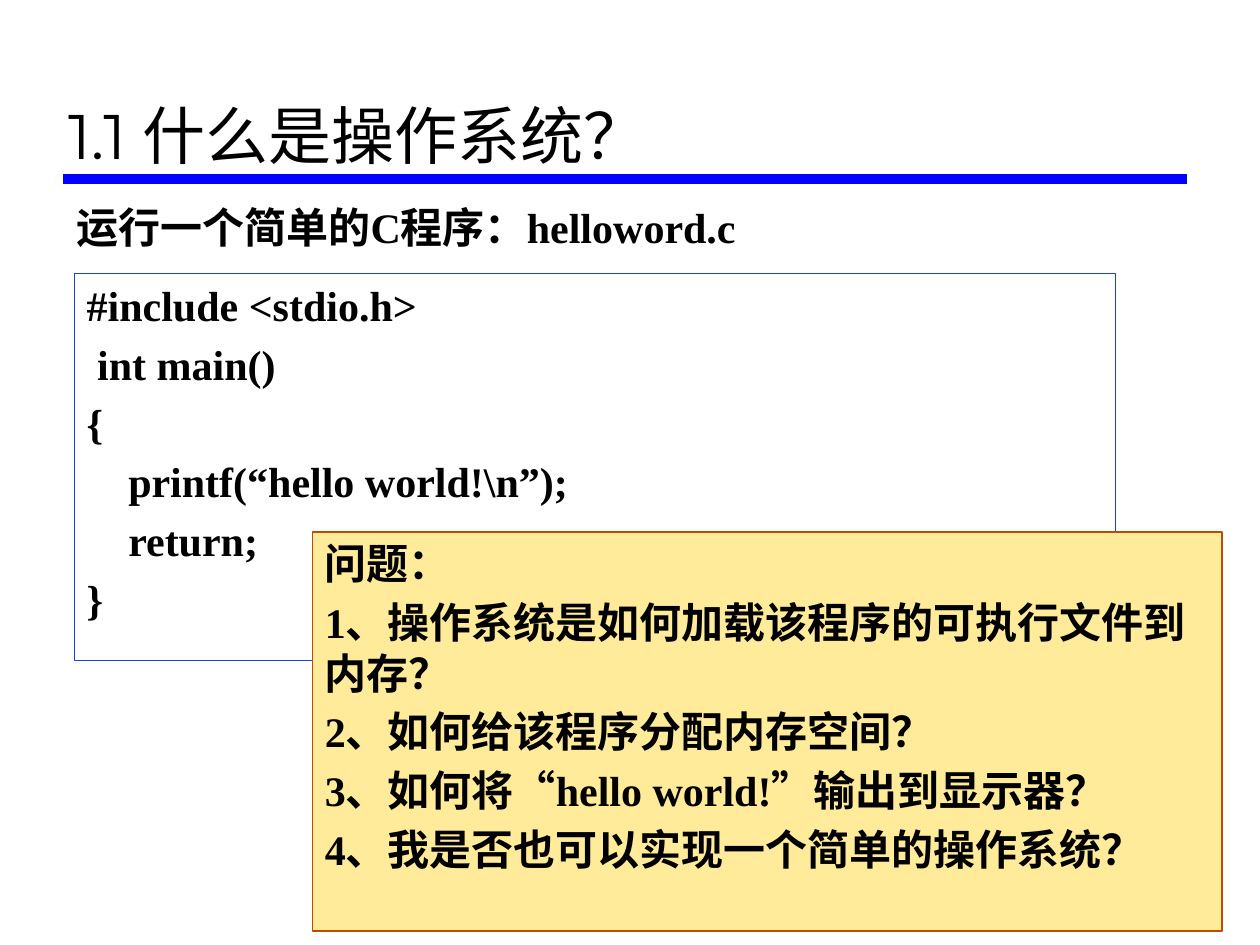
from pptx import Presentation
from pptx.dml.color import RGBColor
from pptx.enum.shapes import MSO_CONNECTOR, MSO_SHAPE
from pptx.enum.text import MSO_ANCHOR, PP_ALIGN
from pptx.oxml.ns import qn
from pptx.util import Emu, Pt
from lxml.etree import SubElement

EMU_PER_PX = 9144
CODE_INDENT = 33


def px(length):
    return Emu(length * EMU_PER_PX)


def color(value):
    return RGBColor.from_string(value)


class SlideWriter:
    text_color = "000000"
    title_font = "Montserrat"
    title_size = 36
    body_font = "Times New Roman"
    body_size = 24
    space_before = 4.8

    def __init__(self, deck):
        self.slide = deck.slides.add_slide(deck.slide_layouts[5])

    def format_span(self, span, font, size, bold):
        span.font.name = font
        span.font.size = Pt(size)
        span.font.bold = bold
        span.font.color.rgb = color(self.text_color)

    def title(self, text, left, top, width, height):
        box = self.slide.shapes.title
        box.left, box.top, box.width, box.height = map(px, (left, top, width, height))
        frame = box.text_frame
        frame.text = text
        frame.vertical_anchor = MSO_ANCHOR.BOTTOM
        para = frame.paragraphs[0]
        para.alignment = PP_ALIGN.LEFT
        self.format_span(para.runs[0], self.title_font, self.title_size, False)

    def rule(self, left, right, y, line, width):
        connector = self.slide.shapes.add_connector(
            MSO_CONNECTOR.STRAIGHT, px(left), px(y), px(right), px(y))
        connector.line.color.rgb = color(line)
        connector.line.width = Pt(width)
        SubElement(connector.element.spPr, qn("a:effectLst"))

    def fill_text(self, box, lines, indented=()):
        frame = box.text_frame
        frame.word_wrap = True
        frame.vertical_anchor = MSO_ANCHOR.TOP
        frame.text = "\n".join(lines)
        for index, para in enumerate(frame.paragraphs):
            para.alignment = PP_ALIGN.LEFT
            para.space_before = Pt(self.space_before)
            if index in indented:
                para._p.get_or_add_pPr().set("marL", str(px(CODE_INDENT)))
            for span in para.runs:
                self.format_span(span, self.body_font, self.body_size, True)

    def text(self, lines, left, top, width, height):
        box = self.slide.shapes.add_textbox(*map(px, (left, top, width, height)))
        self.fill_text(box, lines)

    def panel(self, lines, left, top, width, height, line, line_width, fill=None, indented=()):
        box = self.slide.shapes.add_shape(
            MSO_SHAPE.RECTANGLE, *map(px, (left, top, width, height)))
        box.shadow.inherit = False
        if fill:
            box.fill.solid()
            box.fill.fore_color.rgb = color(fill)
        else:
            box.fill.background()
        box.line.color.rgb = color(line)
        box.line.width = Pt(line_width)
        self.fill_text(box, lines, indented)


def main():
    deck = Presentation()
    deck.slide_width, deck.slide_height = px(1000), px(750)
    page = SlideWriter(deck)
    page.rule(50, 942, 142, "0000FF", 6)
    page.title("1.1 什么是操作系统？", 44, 17, 897, 125)
    page.text(["运行一个简单的C程序：helloword.c"], 51, 155, 826, 76)
    code = [
        "#include <stdio.h>",
        " int main()",
        "{",
        "printf(“hello world!\\n”);",
        "return;",
        "}",
    ]
    page.panel(code, 59, 217, 826, 307, "1D41D5", 0.5, indented=(3, 4))
    questions = [
        "问题：",
        "1、操作系统是如何加载该程序的可执行文件到内存？",
        "2、如何给该程序分配内存空间？",
        "3、如何将“hello world!”输出到显示器？",
        "4、我是否也可以实现一个简单的操作系统？",
    ]
    page.panel(questions, 248, 422, 722, 317, "BD4B00", 1, fill="FFEB99")
    deck.save("out.pptx")


if __name__ == "__main__":
    main()
